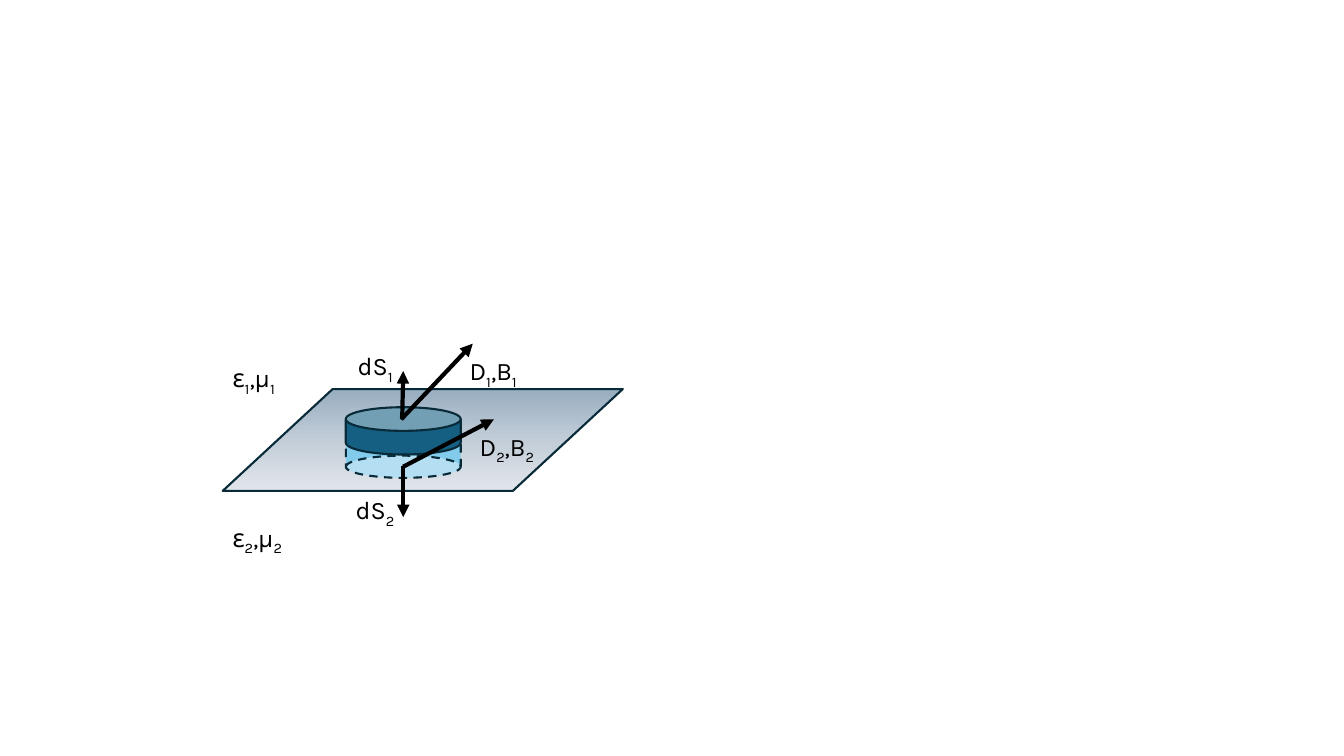
"""Build a slide with a pillbox across the boundary of two media."""
from copy import deepcopy

from pptx import Presentation
from pptx.dml.color import RGBColor as RGB
from pptx.enum.dml import MSO_LINE as DASH
from pptx.enum.shapes import MSO_CONNECTOR as CONN, MSO_SHAPE as SHAPE
from pptx.enum.text import MSO_AUTO_SIZE as AUTO
from pptx.oxml.ns import qn
from pptx.oxml.xmlchemy import OxmlElement
from pptx.util import Pt

COLORS = {"outline": "092A39", "ink": "000000", "lower": "83CBEB", "upper": "156082",
          "far": "98ADC1", "middle": "C2CDD7", "near": "E1E6EB"}
FONT = {"name": "Karla", "size": Pt(18)}
LABEL_HEIGHT = 28.8

PLANE = (159.1, 277.9, 285.8, 72.7)
PLANE_STOPS = [(0, "far"), (0.5, "middle"), (1, "near")]
CANS = [
    ((247, 309.6, 82.1, 31.7), "lower", {"rotation": 180}, {"dash_style": DASH.DASH}),
    ((247, 290.9, 82.1, 33.8), "upper", {}, {}),
]
ARROWS = [
    (286.6, 299.5, 337.7, 245.5),
    (288, 333.4, 352.8, 299.5),
    (287.3, 299.5, 288, 265),
    (288, 332.6, 288, 369.4),
]
LABELS = [
    (159.1, 255.6, 79.2, ("ε", "1", ",μ", "1")),
    (159.1, 369.4, 79.2, ("ε", "2", ",μ", "2")),
    (328.3, 250.6, 61.2, ("D", "1", ",B", "1")),
    (335.5, 304.6, 61.2, ("D", "2", ",B", "2")),
    (248.4, 247, 48.2, ("dS", "1")),
    (247, 349.9, 48.2, ("dS", "2")),
]


def rgb(name):
    """Return a named colour."""
    return RGB.from_string(COLORS[name])


def apply(target, values):
    """Set attributes from a dict."""
    for key, value in values.items():
        setattr(target, key, value)


def add_outlined(slide, kind, box, adjustment):
    """Add a preset shape with the common outline."""
    s = slide.shapes.add_shape(kind, *map(Pt, box))
    s.shadow.inherit = False
    s.adjustments[0] = adjustment
    s.line.color.rgb = rgb("outline")
    s.line.width = Pt(1.5)
    return s


def add_plane(slide):
    """Add the boundary plane with its vertical gradient."""
    s = add_outlined(slide, SHAPE.PARALLELOGRAM, PLANE, 1.08)
    s.fill.gradient()
    s.fill.gradient_angle = 270
    first = next(s._element.spPr.iter(qn("a:gs")))
    first.addnext(deepcopy(first))
    for stop, (position, color) in zip(s.fill.gradient_stops, PLANE_STOPS):
        stop.position = position
        stop.color.rgb = rgb(color)


def add_can(slide, box, color, pose, stroke):
    """Add one half of the pillbox."""
    s = add_outlined(slide, SHAPE.CAN, box, 0.5)
    s.fill.solid()
    s.fill.fore_color.rgb = rgb(color)
    apply(s, pose)
    apply(s.line, stroke)


def add_arrow(slide, points):
    """Add a vector with a triangular head."""
    s = slide.shapes.add_connector(CONN.STRAIGHT, *map(Pt, points))
    s.line.color.rgb = rgb("ink")
    s.line.width = Pt(3)
    head = OxmlElement("a:tailEnd")
    head.set("type", "triangle")
    s.line._get_or_add_ln().append(head)
    s._element.spPr.append(OxmlElement("a:effectLst"))


def add_label(slide, left, top, width, parts):
    """Add a label whose every second part is a subscript."""
    s = slide.shapes.add_textbox(*map(Pt, (left, top, width, LABEL_HEIGHT)))
    tf = s.text_frame
    apply(tf, {"word_wrap": True, "auto_size": AUTO.SHAPE_TO_FIT_TEXT})
    p = tf.paragraphs[0]
    for i, text in enumerate(parts):
        r = p.add_run()
        r.text = text
        apply(r.font, FONT)
        r.font.color.rgb = rgb("ink")
        if i % 2:
            r._r.get_or_add_rPr().set("baseline", "-25000")


def main():
    """Assemble and save the slide."""
    prs = Presentation()
    apply(prs, {"slide_width": Pt(960), "slide_height": Pt(540)})
    slide = prs.slides.add_slide(prs.slide_layouts[6])
    add_plane(slide)
    for can in CANS:
        add_can(slide, *can)
    for points in ARROWS:
        add_arrow(slide, points)
    for label in LABELS:
        add_label(slide, *label)
    prs.save("out.pptx")


if __name__ == "__main__":
    main()
